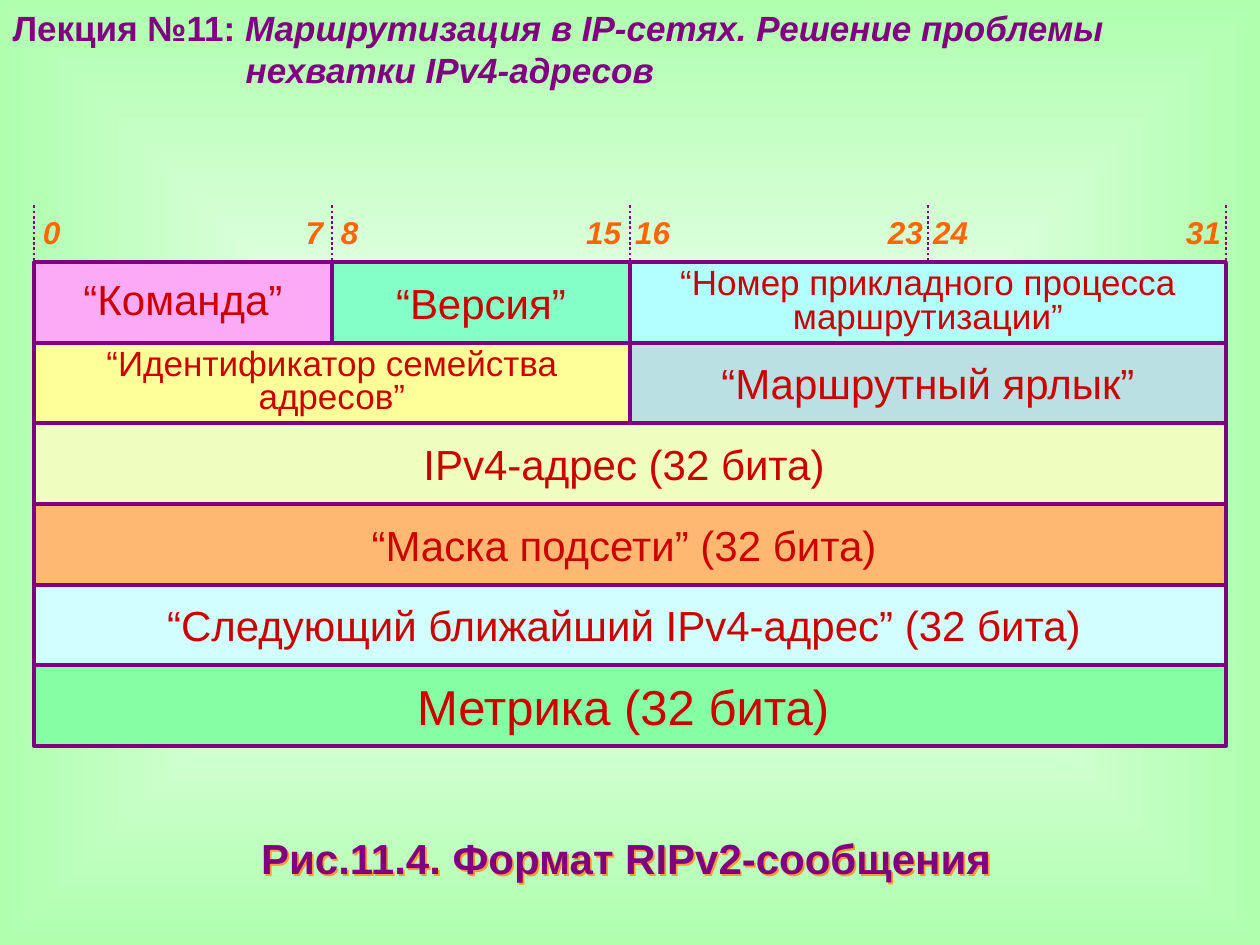
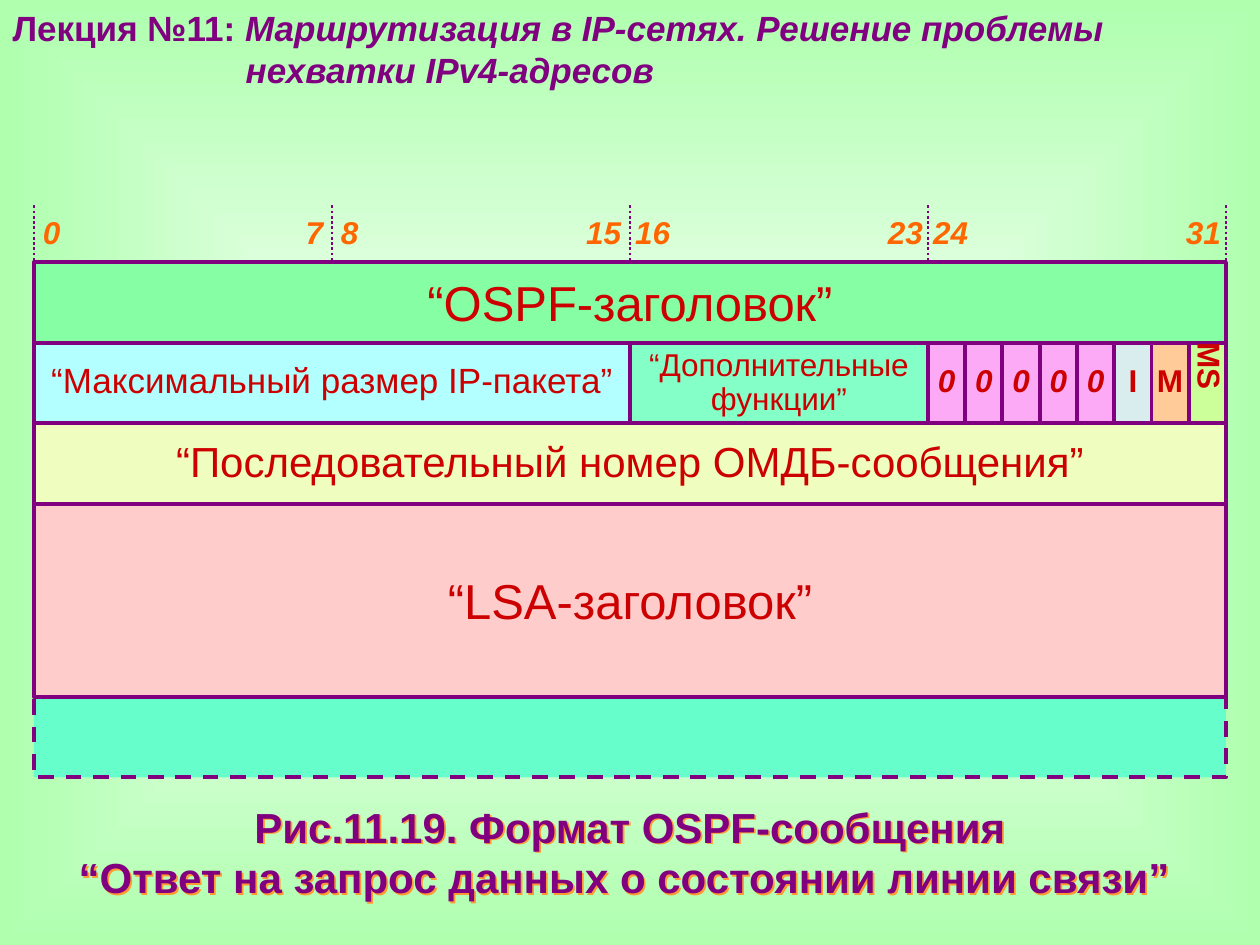
from lxml import etree
from pptx import Presentation
from pptx import util as u
from pptx.dml.color import RGBColor
from pptx.enum import dml, shapes, text
from pptx.oxml import parse_xml
from pptx.oxml.ns import nsdecls, qn

FONT = "Arial"
PURPLE, RED, ORANGE = "800080", "CC0000", "FF6600"
PINK, MINT, GREEN, CREAM, AQUA = "FCAAF6", "85FFC8", "86FEA3", "EFFEBE", "B3FFFF"
LEFT, WIDTH, BITS = 0.27, 9.46, 32
SCALE_TOP, TABLE_TOP, ROW = 1.63, 2.08, 0.64


def rgb(value):
    return RGBColor.from_string(value)


def bit_x(bit):
    """Horizontal position, in inches, of the left edge of a bit."""
    return LEFT + WIDTH * bit / BITS


def add_run(paragraph, words, size, color, bold=False, italic=False):
    run = paragraph.add_run()
    run.text = words
    font = run.font
    font.name, font.size = FONT, u.Pt(size)
    font.bold, font.italic = bold, italic
    font.color.rgb = rgb(color)


def set_insets(frame, side=0, edge=0):
    frame.margin_left = frame.margin_right = u.Inches(side)
    frame.margin_top = frame.margin_bottom = u.Inches(edge)


def set_background(master):
    """Give all slides a gradient from a white centre to green edges."""
    master.background.fill.solid()
    properties = master.element.find(".//" + qn("p:bgPr"))
    gradient = parse_xml(
        f'<a:gradFill {nsdecls("a")} rotWithShape="1"><a:gsLst>'
        '<a:gs pos="0"><a:srgbClr val="FFFFFF"/></a:gs>'
        '<a:gs pos="100000"><a:srgbClr val="AFFFAF"/></a:gs></a:gsLst>'
        '<a:path path="shape"><a:fillToRect l="50000" t="50000" r="50000" b="50000"/>'
        "</a:path></a:gradFill>")
    properties.replace(properties.find(qn("a:solidFill")), gradient)


def add_lecture_title(slide):
    title = slide.shapes.title
    title.left, title.top = u.Inches(0), u.Inches(0)
    title.width, title.height = u.Inches(9.03), u.Inches(0.77)
    frame = title.text_frame
    frame.word_wrap = True
    frame.auto_size = text.MSO_AUTO_SIZE.NONE
    frame.vertical_anchor = text.MSO_ANCHOR.TOP
    set_insets(frame, 0.1, 0.05)
    first, second = frame.paragraphs[0], frame.add_paragraph()
    first.alignment = second.alignment = text.PP_ALIGN.LEFT
    second._p.get_or_add_pPr().set("marL", str(u.Inches(1.85)))
    add_run(first, "Лекция №11: ", 20, PURPLE, bold=True)
    add_run(first, "Маршрутизация в IP-сетях. Решение проблемы", 20, PURPLE, True, True)
    add_run(second, "нехватки IPv4-адресов", 20, PURPLE, True, True)


def add_bit_number(slide, byte, number, align):
    box = slide.shapes.add_textbox(
        u.Inches(bit_x(8 * byte)), u.Inches(SCALE_TOP),
        u.Inches(WIDTH / 4), u.Inches(0.42))
    frame = box.text_frame
    frame.word_wrap = True
    frame.vertical_anchor = text.MSO_ANCHOR.MIDDLE
    set_insets(frame, 0.07 if byte < 2 else 0.04)
    frame.paragraphs[0].alignment = align
    add_run(frame.paragraphs[0], str(number), 18, ORANGE, True, True)


def add_bit_scale(slide):
    for bit in range(0, BITS + 1, 8):
        x = u.Inches(bit_x(bit))
        tick = slide.shapes.add_connector(
            shapes.MSO_CONNECTOR.STRAIGHT, x, u.Inches(SCALE_TOP), x, u.Inches(2.23))
        tick.line.color.rgb = rgb(PURPLE)
        tick.line.width = u.Pt(1.5)
        tick.line.dash_style = dml.MSO_LINE.ROUND_DOT
        etree.SubElement(tick._element.spPr, qn("a:effectLst"))
    for byte in range(4):
        add_bit_number(slide, byte, 8 * byte, text.PP_ALIGN.LEFT)
        add_bit_number(slide, byte, 8 * byte + 7, text.PP_ALIGN.RIGHT)


def add_field(slide, row, first_bit, bits, words, fill, size=24, spacing=1.0,
              rows=1, bold=False, italic=False):
    """Draw a message field; rows and bits place it in the 32-bit grid."""
    field = slide.shapes.add_shape(
        shapes.MSO_SHAPE.RECTANGLE,
        u.Inches(bit_x(first_bit)), u.Inches(TABLE_TOP + ROW * row),
        u.Inches(WIDTH * bits / BITS), u.Inches(ROW * rows))
    field.shadow.inherit = False
    field.fill.solid()
    field.fill.fore_color.rgb = rgb(fill)
    field.line.color.rgb = rgb(PURPLE)
    field.line.width = u.Pt(2.25)
    frame = field.text_frame
    frame.word_wrap = True
    frame.vertical_anchor = text.MSO_ANCHOR.MIDDLE
    set_insets(frame)
    if words:
        paragraph = frame.paragraphs[0]
        paragraph.alignment = text.PP_ALIGN.CENTER
        paragraph.line_spacing = spacing
        add_run(paragraph, words, size, RED, bold, italic)
    return field


def add_caption(slide, left, top, width, height, lines):
    caption = slide.shapes.add_textbox(*map(u.Inches, (left, top, width, height)))
    caption._element.spPr.append(parse_xml(
        f'<a:effectLst {nsdecls("a")}><a:outerShdw dist="17961" dir="2700000">'
        '<a:srgbClr val="FF9933"/></a:outerShdw></a:effectLst>'))
    frame = caption.text_frame
    frame.word_wrap = True
    for index, line in enumerate(lines):
        paragraph = frame.add_paragraph() if index else frame.paragraphs[0]
        paragraph.alignment = text.PP_ALIGN.CENTER
        add_run(paragraph, line, 24, PURPLE, bold=True)


def add_format_slide(prs):
    slide = prs.slides.add_slide(prs.slide_layouts[5])
    add_lecture_title(slide)
    add_bit_scale(slide)
    return slide


def build_rip_slide(prs):
    slide = add_format_slide(prs)
    add_field(slide, 1, 0, 16, "“Идентификатор семейства адресов”", "FFFF99", 20, 0.8)
    add_field(slide, 0, 0, 8, "“Команда”", PINK, spacing=0.85)
    add_field(slide, 0, 8, 8, "“Версия”", MINT)
    add_field(slide, 0, 16, 16, "“Номер прикладного процесса маршрутизации”", AQUA, 20, 0.8)
    add_field(slide, 1, 16, 16, "“Маршрутный ярлык”", "BBE0E3")
    full_rows = [
        ("IPv4-адрес (32 бита) ", CREAM, 24),
        ("“Маска подсети” (32 бита) ", "FFB871", 24),
        ("“Следующий ближайший IPv4-адрес” (32 бита) ", "D1FFFF", 24),
        ("Метрика (32 бита) ", GREEN, 28),
    ]
    for row, (words, fill, size) in enumerate(full_rows, start=2):
        add_field(slide, row, 0, BITS, words, fill, size)
    add_caption(slide, 0.32, 6.56, 9.3, 0.5, ["Рис.11.4. Формат RIPv2-сообщения"])


def build_ospf_slide(prs):
    slide = add_format_slide(prs)
    lsa_rows = 2.39
    continuation = add_field(slide, 3 + lsa_rows, 0, BITS, "", "66FFCC")
    continuation.line.dash_style = dml.MSO_LINE.DASH
    add_field(slide, 2, 0, BITS, "“Последовательный номер ОМДБ-сообщения”", CREAM, spacing=0.9)
    add_field(slide, 3, 0, BITS, "“LSA-заголовок”", "FFCCCC", 28, rows=lsa_rows)
    add_field(slide, 0, 0, BITS, "“OSPF-заголовок”", GREEN, 28)
    add_field(slide, 1, 0, 16, "“Максимальный размер IP-пакета”", AQUA, 20, 0.85)
    add_field(slide, 1, 16, 8, "“Дополнительные функции”", MINT, 18, 0.9)
    flags = [("0", PINK)] * 5 + [("I", "D9EDEF"), ("M", "FFCC99"), ("MS", "CCFF99")]
    for bit, (name, fill) in enumerate(flags, start=24):
        flag = add_field(slide, 1, bit, 1, name, fill, 18, 0.85,
                         bold=True, italic=name == "0")
        if len(name) > 1:
            flag.text_frame._txBody.bodyPr.set("vert", "eaVert")
    add_caption(slide, 0, 6.31, 10, 0.9, [
        "Рис.11.19. Формат OSPF-сообщения",
        "“Ответ на запрос данных о состоянии линии связи” "])


def main():
    prs = Presentation()
    prs.slide_width, prs.slide_height = u.Inches(10), u.Inches(7.5)
    set_background(prs.slide_master)
    build_rip_slide(prs)
    build_ospf_slide(prs)
    prs.save("out.pptx")


if __name__ == "__main__":
    main()
